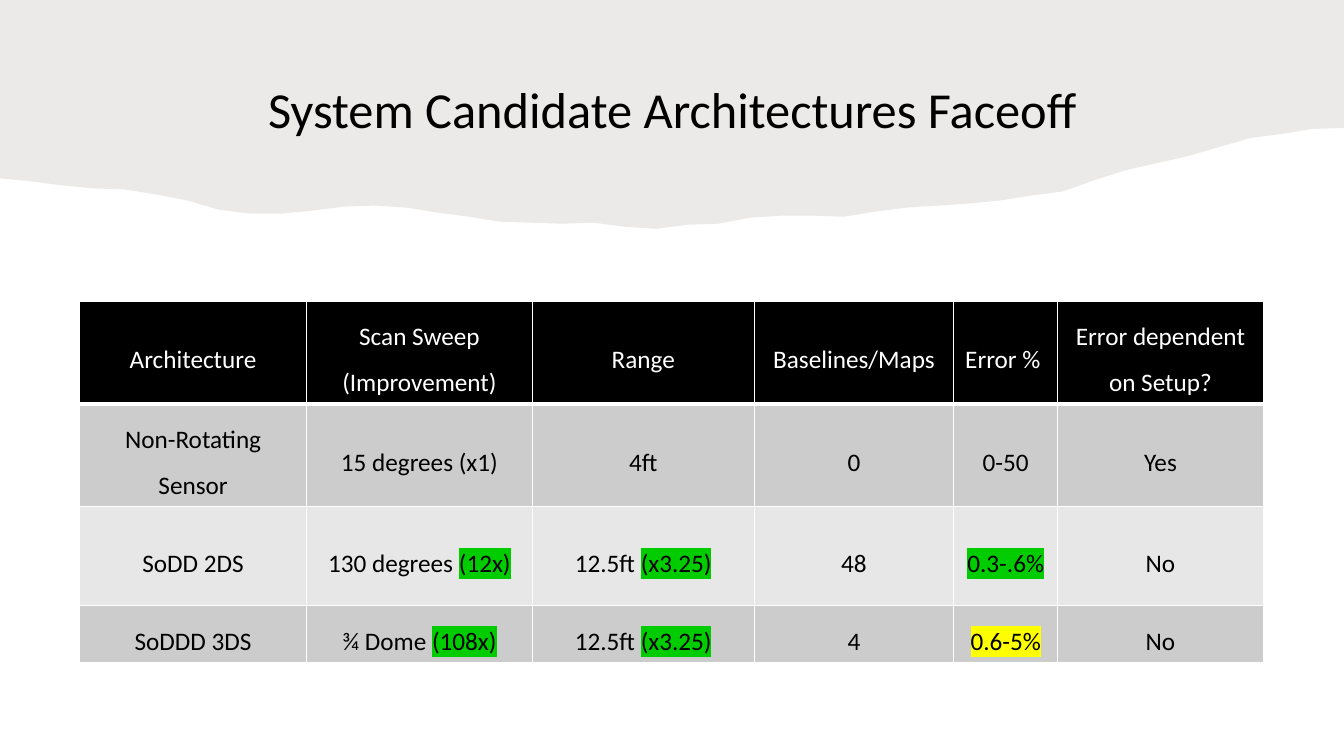
from dataclasses import dataclass

from lxml.etree import SubElement
from pptx import Presentation
from pptx.dml.color import RGBColor
from pptx.enum.text import MSO_ANCHOR, PP_ALIGN
from pptx.oxml import parse_xml
from pptx.oxml.ns import nsdecls, qn
from pptx.slide import Slide
from pptx.table import _Cell as Cell
from pptx.text.text import _Paragraph as Para
from pptx.util import Inches, Pt

BLACK = RGBColor(0x00, 0x00, 0x00)
WHITE = RGBColor(0xFF, 0xFF, 0xFF)
TAUPE = RGBColor(0x82, 0x76, 0x6A)
GRAY = RGBColor(0xCC, 0xCC, 0xCC)
PALE = RGBColor(0xE7, 0xE7, 0xE7)
GREEN = RGBColor(0x00, 0xCC, 0x00)
YELLOW = RGBColor(0xFF, 0xFF, 0x00)
FONT = "Calibri"

# Torn edge: depths from left to right at equal steps, in hundredths of an inch
STEP = 31
DEPTHS = [
    177, 180, 184, 187, 188, 193, 199, 208, 212, 212, 209,
    205, 204, 206, 211, 215, 220, 221, 222, 221, 225, 227,
    223, 222, 216, 214, 214, 215, 210, 206, 204, 202, 199,
    194, 190, 179, 169, 162, 155, 146, 137, 133, 128, 127,
]


@dataclass(frozen=True)
class Part:
    text: str
    mark: RGBColor | None = None


@dataclass(frozen=True)
class Row:
    fill: RGBColor
    ink: RGBColor
    cells: list[list[Part]]
    high: float = 0.99
    base: int = 1  # bottom border, points


def plain(*words: str) -> list[list[Part]]:
    return [[Part(word)] for word in words]


FAR = [Part("12.5ft "), Part("(x3.25)", GREEN)]
WIDTHS = [2.25, 2.24, 2.2, 1.98, 1.03, 2.04]
ROWS = [
    Row(BLACK, WHITE, plain(
        "Architecture", "Scan Sweep (Improvement)", "Range", "Baselines/Maps",
        "Error % ", "Error dependent on Setup?"), base=3),
    Row(GRAY, BLACK, plain(
        "Non-Rotating Sensor", "15 degrees (x1)", "4ft", "0", "0-50", "Yes")),
    Row(PALE, BLACK, [
        [Part("SoDD 2DS")], [Part("130 degrees "), Part("(12x)", GREEN)], FAR,
        [Part("48")], [Part("0.3-.6%", GREEN)], [Part("No")]]),
    Row(GRAY, BLACK, [
        [Part("SoDDD 3DS")], [Part("¾ Dome "), Part("(108x)", GREEN)], FAR,
        [Part("4")], [Part("0.6-5%", YELLOW)], [Part("No")]], high=0.54),
]


def write(para: Para, parts: list[Part], size: int, ink: RGBColor, lead: float) -> None:
    para.alignment = PP_ALIGN.CENTER
    para.line_spacing = lead
    for part in parts:
        run = para.add_run()
        run.text = part.text
        run.font.size = Pt(size)
        run.font.color.rgb = ink
        if part.mark is not None:
            mark = SubElement(run.font._element, qn("a:highlight"))
            SubElement(mark, qn("a:srgbClr"), val=str(part.mark))
        run.font.name = FONT


def border(cell: Cell, base: int) -> None:
    props = cell._tc.get_or_add_tcPr()
    for spot, side in enumerate("LRTB"):
        width = Pt(base if side == "B" else 1)
        props.insert(spot, parse_xml(
            f'<a:ln{side} {nsdecls("a")} w="{width}"><a:solidFill>'
            f'<a:srgbClr val="{WHITE}"/></a:solidFill></a:ln{side}>'))


def add_title(slide: Slide) -> None:
    title = slide.shapes.title
    title.left, title.top = Inches(0.91), Inches(0.54)
    title.width, title.height = Inches(11.52), Inches(0.89)
    title.text_frame.vertical_anchor = MSO_ANCHOR.BOTTOM
    name = [Part("System Candidate Architectures Faceoff")]
    write(title.text_frame.paragraphs[0], name, 36, BLACK, 0.9)


def add_band(slide: Slide) -> None:
    edge = [(spot * STEP, depth) for spot, depth in enumerate(DEPTHS)]
    pen = slide.shapes.build_freeform(0, 0, scale=Inches(0.01))
    pen.add_line_segments([*edge, (edge[-1][0], 0)], close=True)
    band = pen.convert_to_shape()
    band.shadow.inherit = False
    band.line.fill.background()
    band.fill.solid()
    band.fill.fore_color.rgb = TAUPE
    # Let the band show at 15 percent, behind the title
    tone = band.element.spPr.find(qn("a:solidFill")).find(qn("a:srgbClr"))
    SubElement(tone, qn("a:alpha"), val="15000")
    slide.shapes.title.element.addprevious(band.element)


def add_grid(slide: Slide) -> None:
    grid = slide.shapes.add_table(
        len(ROWS), len(WIDTHS), Inches(0.79), Inches(2.99),
        Inches(sum(WIDTHS)), Inches(sum(row.high for row in ROWS))).table
    grid.first_row = grid.horz_banding = False
    for col, width in zip(grid.columns, WIDTHS):
        col.width = Inches(width)
    for line, row in zip(grid.rows, ROWS):
        line.height = Inches(row.high)
        for cell, parts in zip(line.cells, row.cells):
            cell.vertical_anchor = MSO_ANCHOR.MIDDLE
            cell.fill.solid()
            cell.fill.fore_color.rgb = row.fill
            border(cell, row.base)
            write(cell.text_frame.paragraphs[0], parts, 18, row.ink, 1.5)


def main() -> None:
    deck = Presentation()
    deck.slide_width, deck.slide_height = Inches(13.33), Inches(7.5)
    slide = deck.slides.add_slide(deck.slide_layouts[5])
    add_title(slide)
    add_band(slide)
    add_grid(slide)
    deck.save("out.pptx")


if __name__ == "__main__":
    main()
